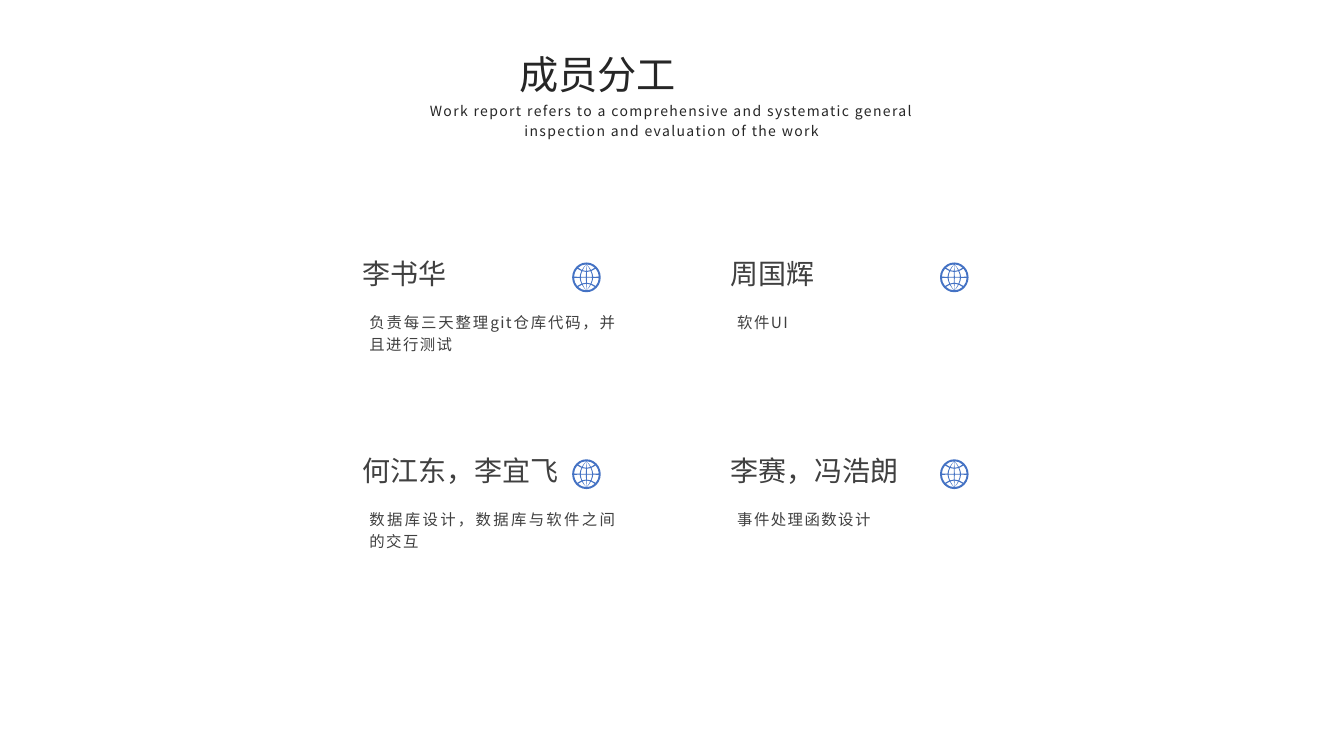
from dataclasses import dataclass
from math import cos, pi, radians, sin

from lxml.etree import SubElement
from pptx import Presentation
from pptx.dml.color import RGBColor
from pptx.enum.text import MSO_ANCHOR as Anchor, MSO_AUTO_SIZE as AutoSize, PP_ALIGN as Align
from pptx.oxml.ns import qn
from pptx.util import Cm, Pt


@dataclass(frozen=True)
class Theme:
    ink: RGBColor = RGBColor(0x26, 0x26, 0x26)
    grey: RGBColor = RGBColor(0x40, 0x40, 0x40)
    accent: RGBColor = RGBColor(0x44, 0x72, 0xC4)
    title_font: str = "Arial"
    body_font: str = "Noto Sans CJK SC"
    title_size: Pt = Pt(28)
    name_size: Pt = Pt(20)
    duty_size: Pt = Pt(11)
    subtitle_size: Pt = Pt(10)
    tracking: int = 100


THEME = Theme()
TITLE = {"name": THEME.title_font, "size": THEME.title_size, "color": THEME.ink}
SUBTITLE = {"name": THEME.body_font, "size": THEME.subtitle_size, "color": THEME.ink}
NAME = {"name": THEME.body_font, "size": THEME.name_size, "color": THEME.grey}
DUTY = {"name": THEME.body_font, "size": THEME.duty_size, "color": THEME.grey}

MEMBERS = [
    ("李书华", "负责每三天整理git仓库代码，并且进行测试", 2),
    ("周国辉", "软件UI", 1),
    ("何江东，李宜飞", "数据库设计，数据库与软件之间的交互", 2),
    ("李赛，冯浩朗", "事件处理函数设计", 1),
]


def write_text(shape, text, style, align=Align.JUSTIFY, leading=None, tracking=0):
    frame = shape.text_frame
    frame_format = {
        "word_wrap": True,
        "auto_size": AutoSize.SHAPE_TO_FIT_TEXT,
        "vertical_anchor": Anchor.TOP,
    }
    for attribute, value in frame_format.items():
        setattr(frame, attribute, value)
    paragraph = frame.paragraphs[0]
    paragraph.alignment = align
    paragraph.line_spacing = leading
    run = paragraph.add_run()
    run.text = text
    for attribute, value in style.items():
        if attribute == "color":
            run.font.color.rgb = value
        else:
            setattr(run.font, attribute, value)
    properties = run._r.get_or_add_rPr()
    properties.set("spc", str(tracking))
    SubElement(properties, qn("a:ea"), typeface=THEME.body_font)


def add_text(slide, box, text, style, **layout):
    shape = slide.shapes.add_textbox(*map(Cm, box))
    write_text(shape, text, style, **layout)


def globe_point(across, latitude):
    angle = radians(latitude)
    bend = 1 - 0.5 * cos(angle) * (1 - across**2)
    return 0.87 * across * cos(angle), 0.87 * sin(angle) * bend


def globe_cell(west, east, south, north):
    middle = (south + north) / 2
    east_side = [(east, latitude) for latitude in (south, middle, north)]
    west_side = [(west, latitude) for latitude in (north, middle, south)]
    return [globe_point(*corner) for corner in east_side + west_side]


def add_globe(slide, center_x, center_y, radius_x=0.36, radius_y=0.375):
    columns = [(-1, -0.54), (-0.46, -0.04), (0.04, 0.46), (0.54, 1)]
    rows = [(-87, -48), (-42, -3), (3, 42), (48, 87)]
    rim = [(cos(-pi * step / 12), sin(-pi * step / 12)) for step in range(24)]
    contours = [rim] + [globe_cell(*column, *row) for column in columns for row in rows]

    def place(point):
        return Cm(center_x + radius_x * point[0]), Cm(center_y + radius_y * point[1])

    builder = slide.shapes.build_freeform(*place(rim[0]))
    for index, contour in enumerate(contours):
        start, *others = map(place, contour)
        if index:
            builder.move_to(*start)
        builder.add_line_segments(others, close=True)
    globe = builder.convert_to_shape()
    globe.shadow.inherit = False
    globe.fill.solid()
    globe.fill.fore_color.rgb = THEME.accent
    globe.line.fill.background()


def add_heading(slide, left, top):
    title = slide.shapes.title
    position = {
        "left": Cm(left + 3.33),
        "top": Cm(top),
        "width": Cm(8.23),
        "height": Cm(1.45),
    }
    for attribute, value in position.items():
        setattr(title, attribute, value)
    write_text(title, "成员分工", TITLE)
    add_text(
        slide,
        (left, top + 1.25, 14.86, 1.19),
        "Work report refers to a comprehensive and systematic general "
        "inspection and evaluation of the work",
        SUBTITLE,
        align=Align.CENTER,
        leading=Pt(14),
        tracking=THEME.tracking,
    )


def add_member(slide, left, top, name, duty, lines):
    add_text(slide, (left, top, 5.61, 1.12), name, NAME)
    add_globe(slide, left + 5.89, top + 0.64)
    add_text(
        slide,
        (left + 0.17, top + 1.32, 6.73, 0.23 + 0.56 * lines),
        duty,
        DUTY,
        leading=Pt(16),
        tracking=THEME.tracking,
    )


def add_members(slide, left, top, column_pitch=9.27, row_pitch=4.96):
    for index, member in enumerate(MEMBERS):
        row, column = divmod(index, 2)
        add_member(slide, left + column * column_pitch, top + row * row_pitch, *member)


def main():
    presentation = Presentation()
    presentation.slide_width = Cm(33.87)
    presentation.slide_height = Cm(19.05)
    slide = presentation.slides.add_slide(presentation.slide_layouts[5])
    add_heading(slide, 9.5, 1.14)
    add_members(slide, 8.89, 6.35)
    presentation.save("out.pptx")


if __name__ == "__main__":
    main()
